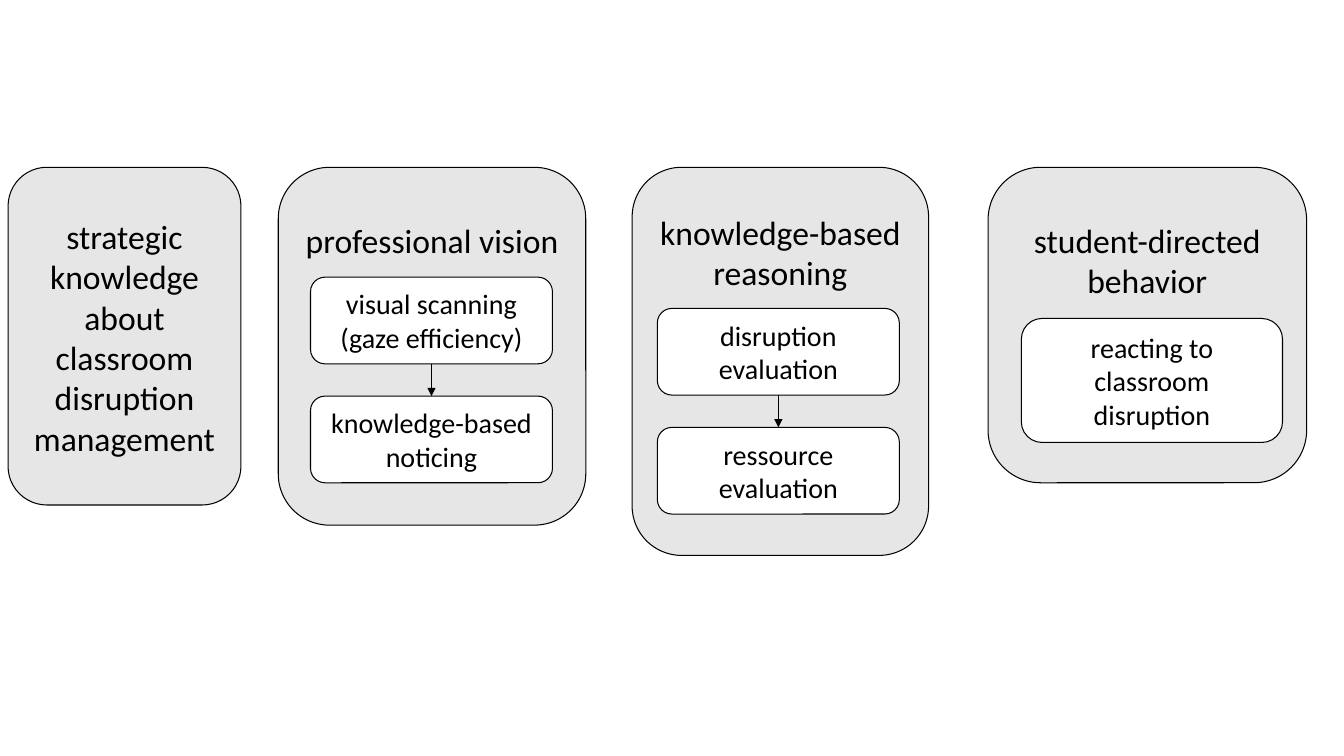
from lxml.etree import SubElement
from pptx import Presentation
from pptx.dml.color import RGBColor
from pptx.enum.shapes import MSO_CONNECTOR as Connector, MSO_SHAPE as Shape
from pptx.enum.text import MSO_ANCHOR as Anchor, PP_ALIGN as Align
from pptx.oxml.ns import qn
from pptx.util import Inches, Pt

# Content: lengths in inches; step positions are offsets from the panel corner
PANELS = [
    dict(title="strategic knowledge about classroom disruption management",
         left=0.08, width=2.31, height=3.35, title_inset=0.37, steps=[]),
    dict(title="professional vision",
         left=2.76, width=3.05, height=3.55, title_inset=0.37,
         steps=["visual scanning (gaze efficiency)", "knowledge-based noticing"],
         step_offset=(0.32, 1.09), step_size=(2.4, 0.86)),
    dict(title="knowledge-based reasoning",
         left=6.27, width=2.94, height=3.85, title_inset=0.3,
         steps=["disruption evaluation", "ressource evaluation"],
         step_offset=(0.25, 1.4), step_size=(2.4, 0.86)),
    dict(title="student-directed behavior",
         left=9.8, width=3.16, height=3.13, title_inset=0.37,
         steps=["reacting to classroom disruption"],
         step_offset=(0.33, 1.5), step_size=(2.59, 1.23)),
]
PANEL_TOP = 1.66
STEP_GAP = 0.32
FONT = "Calibri"
TITLE_SIZE, STEP_SIZE = 24, 20
BLACK = RGBColor(0x00, 0x00, 0x00)
WHITE = RGBColor(0xFF, 0xFF, 0xFF)
GREY = RGBColor(0xE7, 0xE6, 0xE6)


def add_box(shapes, left, top, width, height, fill, text, size, anchor, inset=0.05):
    box = shapes.add_shape(Shape.ROUNDED_RECTANGLE, *map(Inches, (left, top, width, height)))
    box.shadow.inherit = False
    box.fill.solid()
    box.fill.fore_color.rgb = fill
    box.line.color.rgb = BLACK
    box.line.width = Pt(0.75)
    frame = box.text_frame
    frame.word_wrap = True
    frame.vertical_anchor = anchor
    frame.margin_top = Inches(inset)
    paragraph = frame.paragraphs[0]
    paragraph.alignment = Align.CENTER
    run = paragraph.add_run()
    run.text = text
    run.font.name = FONT
    run.font.size = Pt(size)
    run.font.color.rgb = BLACK


def add_arrow(shapes, x, start, end):
    arrow = shapes.add_connector(Connector.STRAIGHT, *map(Inches, (x, start, x, end)))
    arrow.line.color.rgb = BLACK
    arrow.line.width = Pt(1)
    SubElement(arrow.line._get_or_add_ln(), qn("a:tailEnd"), type="triangle")
    SubElement(arrow._element.spPr, qn("a:effectLst"))


def add_panel(shapes, panel):
    add_box(shapes, panel["left"], PANEL_TOP, panel["width"], panel["height"], GREY,
            panel["title"], TITLE_SIZE, Anchor.TOP, panel["title_inset"])
    # Steps stacked in the panel, each joined to the one above
    for row, step in enumerate(panel["steps"]):
        width, height = panel["step_size"]
        offset_x, offset_y = panel["step_offset"]
        left = panel["left"] + offset_x
        top = PANEL_TOP + offset_y + row * (height + STEP_GAP)
        add_box(shapes, left, top, width, height, WHITE, step, STEP_SIZE, Anchor.MIDDLE)
        if row:
            add_arrow(shapes, left + width / 2, top - STEP_GAP, top)


def main():
    deck = Presentation()
    deck.slide_width, deck.slide_height = Inches(13.33), Inches(7.5)
    slide = deck.slides.add_slide(deck.slide_layouts[6])
    for panel in PANELS:
        # Panels with linked steps move as one group
        linked = len(panel["steps"]) > 1
        shapes = slide.shapes.add_group_shape().shapes if linked else slide.shapes
        add_panel(shapes, panel)
    deck.save("out.pptx")


if __name__ == "__main__":
    main()
